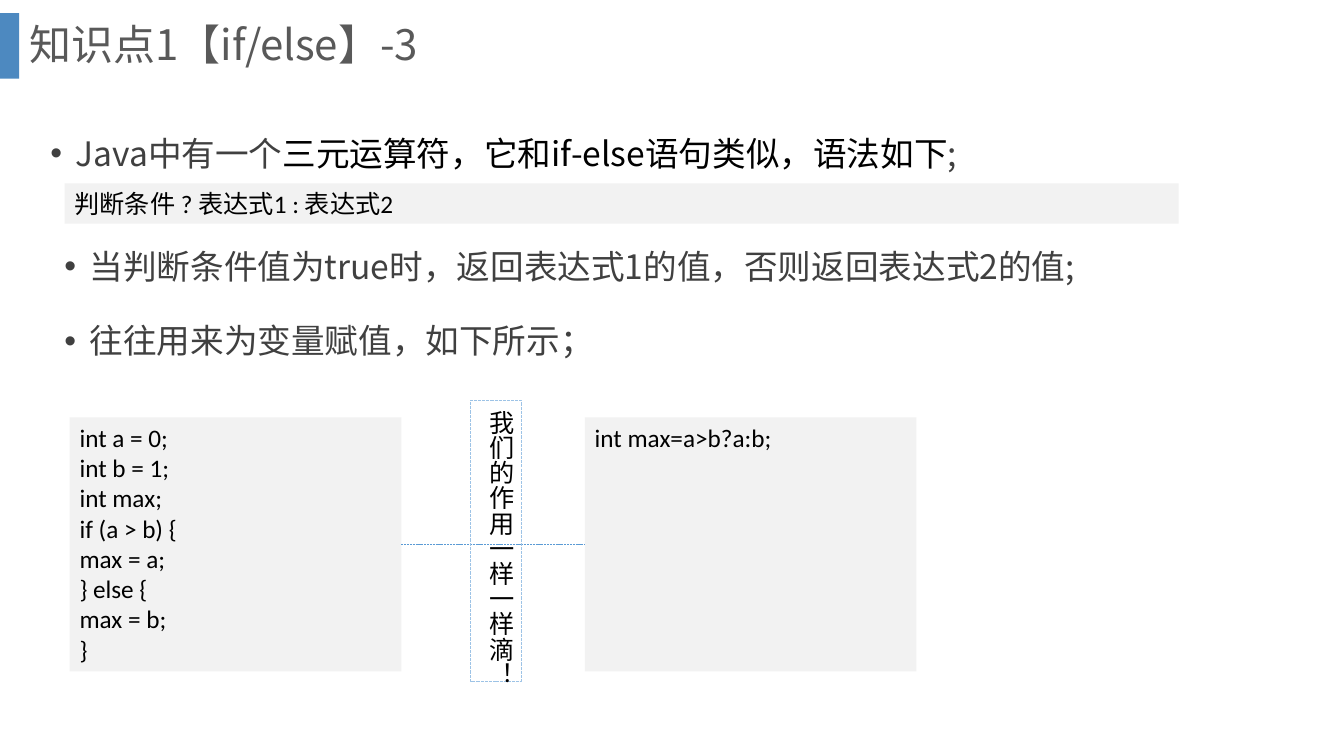
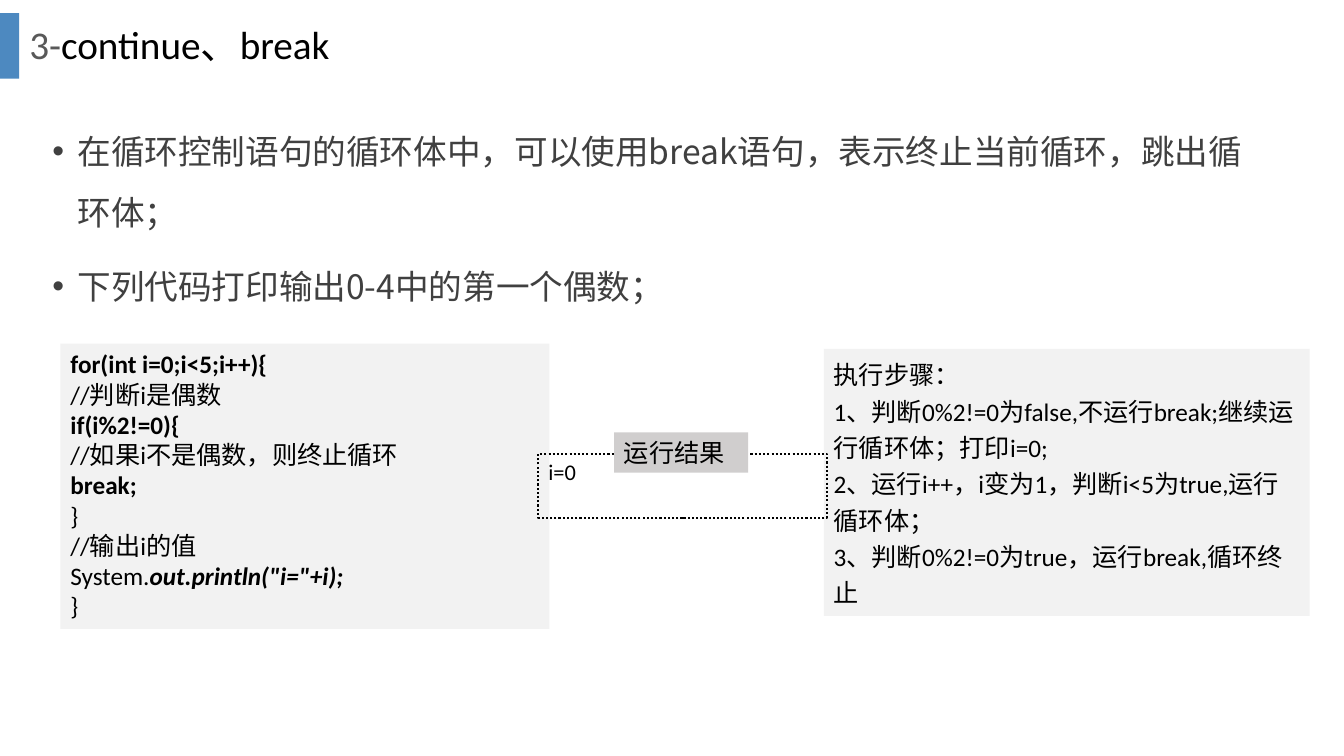
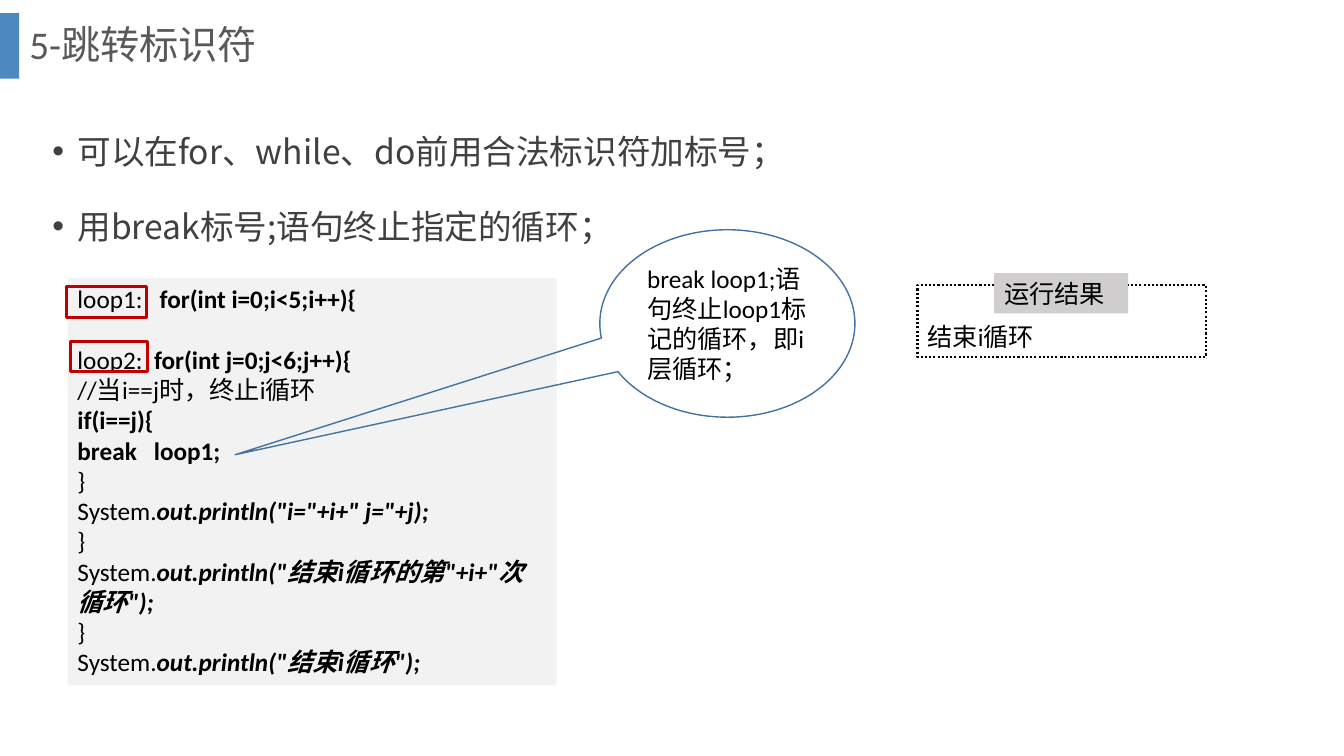
from lxml import etree
from pptx import Presentation
from pptx import util as u
from pptx.dml import color
from pptx.enum import dml, shapes, text
from pptx.oxml import ns

PX = 9144
SANS, CODE = "Noto Sans CJK SC", "Calibri"
HEX = {
    "black": "000000", "body": "404040", "title": "595959", "bar": "2E75B6",
    "panel": "F2F2F2", "label": "D0CECE", "link": "5B9BD5", "frame": "9DC3E6",
    "call": "43739E", "mark": "C00000",
}
BOLD = {"bold": True}
SLANT = {"bold": True, "italic": True}
BLACK = {"ink": "black"}
DOT, DASH = dml.MSO_LINE.ROUND_DOT, dml.MSO_LINE.SQUARE_DOT
TOP, MID, LOW = text.MSO_ANCHOR.TOP, text.MSO_ANCHOR.MIDDLE, text.MSO_ANCHOR.BOTTOM
RECT = shapes.MSO_SHAPE.RECTANGLE


def px(*nums):
    return [u.Emu(n * PX) for n in nums]


def rgb(name):
    return color.RGBColor.from_string(HEX[name])


def sub(node, tag, **attrs):
    return etree.SubElement(node, ns.qn(tag), **attrs)


def style(font, size=None, face=None, ink=None, bold=None, italic=None):
    if size:
        font.size = u.Pt(size)
    if ink:
        font.color.rgb = rgb(ink)
    if face:
        font.name = face
        font._element.find(ns.qn("a:latin")).addnext(
            etree.Element(ns.qn("a:ea"), typeface=SANS))
    if bold:
        font.bold = True
    if italic:
        font.italic = True


def bullet(para):
    props = para._p.get_or_add_pPr()
    props.set("marL", str(25 * PX))
    props.set("indent", str(-25 * PX))
    sub(props, "a:buFont", typeface="Arial")
    sub(props, "a:buChar", char="•")


def write(frame, paras, size=18, face=CODE, ink="black", anchor=TOP,
          space=None, dots=False, gaps=None):
    frame.word_wrap = True
    frame.auto_size = text.MSO_AUTO_SIZE.NONE
    frame.vertical_anchor = anchor
    for num, runs in enumerate(paras):
        para = frame.add_paragraph() if num else frame.paragraphs[0]
        para.alignment = text.PP_ALIGN.LEFT
        if space:
            para.line_spacing = space
        if num and gaps and num in gaps:
            para.space_before = u.Pt(gaps[num])
        if dots:
            bullet(para)
        style(para.font, size, face, ink)
        runs = [(runs, {})] if isinstance(runs, str) else runs
        for words, look in runs:
            run = para.add_run()
            run.text = words
            style(para.font if len(runs) == 1 else run.font, **look)


def stroke(line, ink, width, dash=None):
    line.color.rgb = rgb(ink)
    line.width = u.Pt(width)
    if dash:
        line.dash_style = dash


def box(slide, at, fill=None, line=None, kind=RECT):
    shape = slide.shapes.add_shape(kind, *px(*at))
    shape.shadow.inherit = False
    if fill:
        shape.fill.solid()
        shape.fill.fore_color.rgb = rgb(fill)
    else:
        shape.fill.background()
    if line:
        stroke(shape.line, *line)
    else:
        shape.line.fill.background()
    return shape


def panel(slide, at, paras, **look):
    shape = box(slide, at, "panel")
    write(shape.text_frame, paras, **look)
    return shape


def points(slide, at, paras):
    frame = slide.shapes.add_textbox(*px(*at)).text_frame
    write(frame, paras, 24, SANS, "body", space=1.5, dots=True,
          gaps={num: 10 for num in range(1, len(paras))})


def result(slide, at, tag, words, size, anchor):
    frame = box(slide, at, line=("black", 1.5, DOT))
    write(frame.text_frame, [words], size, anchor=anchor)
    label = box(slide, (*tag, 133, 40), "label")
    write(label.text_frame, ["运行结果"])


def mark(slide, at):
    box(slide, at, line=("mark", 2))


def link(slide, left, right):
    line = slide.shapes.add_connector(shapes.MSO_CONNECTOR.STRAIGHT, 0, 0, 0, 0)
    line.begin_connect(left, 3)
    line.end_connect(right, 1)
    stroke(line.line, "link", 0.5, DASH)
    sub(line._element.spPr, "a:effectLst")


def band(slide, layout):
    bar = box(slide, (0, 13, 19, 65), "bar")
    tint = bar._element.spPr.find(".//" + ns.qn("a:srgbClr"))
    sub(tint, "a:alpha", val="85000")
    layout.shapes._spTree.append(bar._element)


def page(deck, runs, size=28, face=CODE):
    slide = deck.slides.add_slide(deck.slide_layouts[5])
    title = slide.shapes.title
    title.left, title.top, title.width, title.height = px(19, 0, 1266, 93)
    write(title.text_frame, [runs], size, face, "title", MID, 0.9)
    return slide


def choice(deck):
    slide = page(deck, "知识点1【if/else】-3", 30, SANS)
    band(slide, slide.slide_layout)
    points(slide, (40, 107, 1205, 67), [[
        ("Java中有一个", {}),
        ("三元运算符，它和if-else语句类似，语法如下", BLACK),
        (";", {}),
    ]])
    panel(slide, (64, 182, 1105, 40), ["判断条件 ? 表达式1 : 表达式2"])
    points(slide, (54, 219, 1205, 160), [
        "当判断条件值为true时，返回表达式1的值，否则返回表达式2的值;",
        "往往用来为变量赋值，如下所示；",
    ])
    left = panel(slide, (69, 414, 329, 252), [
        "int a = 0;", "int b = 1;", "int max;", "if (a > b) {",
        "max = a;", "} else {", "max = b;", "}",
    ])
    right = panel(slide, (580, 414, 329, 252), ["int max=a>b?a:b;"])
    link(slide, left, right)
    note = box(slide, (467, 397, 50, 279), line=("frame", 0.75, DASH))
    write(note.text_frame, ["我们的作用一样一样滴！"])
    note.text_frame._txBody.bodyPr.set("vert", "eaVert")


def stop(deck):
    slide = page(deck, [("3-", {}), ("continue、break", BLACK)])
    points(slide, (42, 105, 1205, 194), [
        "在循环控制语句的循环体中，可以使用break语句，表示终止当前循环，跳出循环体；",
        "下列代码打印输出0-4中的第一个偶数；",
    ])
    panel(slide, (60, 341, 485, 283), [
        [("for(int i=0;i<5;i++){", BOLD)],
        "//判断i是偶数",
        [("if(i%2!=0){", BOLD)],
        "//如果i不是偶数，则终止循环",
        [("break;", BOLD)],
        "}",
        "//输出i的值",
        [("System.", {}), ('out.println("i="+i);', SLANT)],
        "}",
    ])
    panel(slide, (817, 346, 482, 265), [
        "执行步骤：",
        "1、判断0%2!=0为false,不运行break;继续运行循环体；打印i=0;",
        "2、运行i++，i变为1，判断i<5为true,运行循环体；",
        "3、判断0%2!=0为true，运行break,循环终止",
    ], space=1.2)
    result(slide, (534, 450, 286, 64), (609, 429), "i=0", 16, TOP)


def jump(deck):
    slide = page(deck, "5-跳转标识符")
    points(slide, (42, 105, 1205, 194), [
        "可以在for、while、do前用合法标识符加标号；",
        "用break标号;语句终止指定的循环；",
    ])
    panel(slide, (67, 276, 485, 404), [
        [("loop1:   ", {}), ("for(int i=0;i<5;i++){", BOLD)],
        [("loop2:  ", {}), ("for(int j=0;j<6;j++){", BOLD)],
        "//当i==j时，终止i循环",
        [("if(i==j){", BOLD)],
        [("break   loop1;", BOLD)],
        "}",
        [("System.", {}), ('out.println("i="+i+" j="+j);', SLANT)],
        "}",
        [("System.", {}), ('out.println("结束i循环的第"+i+"次循环");', SLANT)],
        "}",
        [("System.", {}), ('out.println("结束i循环");', SLANT)],
    ], gaps={1: 22})
    result(slide, (910, 283, 286, 71), (986, 271), "结束i循环", 18, LOW)
    call = box(slide, (595, 228, 253, 186), line=("call", 1),
               kind=shapes.MSO_SHAPE.OVAL_CALLOUT)
    call.adjustments[0], call.adjustments[1] = -1.93, 0.7
    write(call.text_frame, ["break loop1;语句终止loop1标记的循环，即i层循环；"],
          anchor=MID)
    mark(slide, (66, 284, 79, 31))
    mark(slide, (70, 339, 76, 30))


def main():
    deck = Presentation()
    deck.slide_width, deck.slide_height = px(1333, 750)
    choice(deck)
    stop(deck)
    jump(deck)
    deck.save("out.pptx")


if __name__ == "__main__":
    main()
